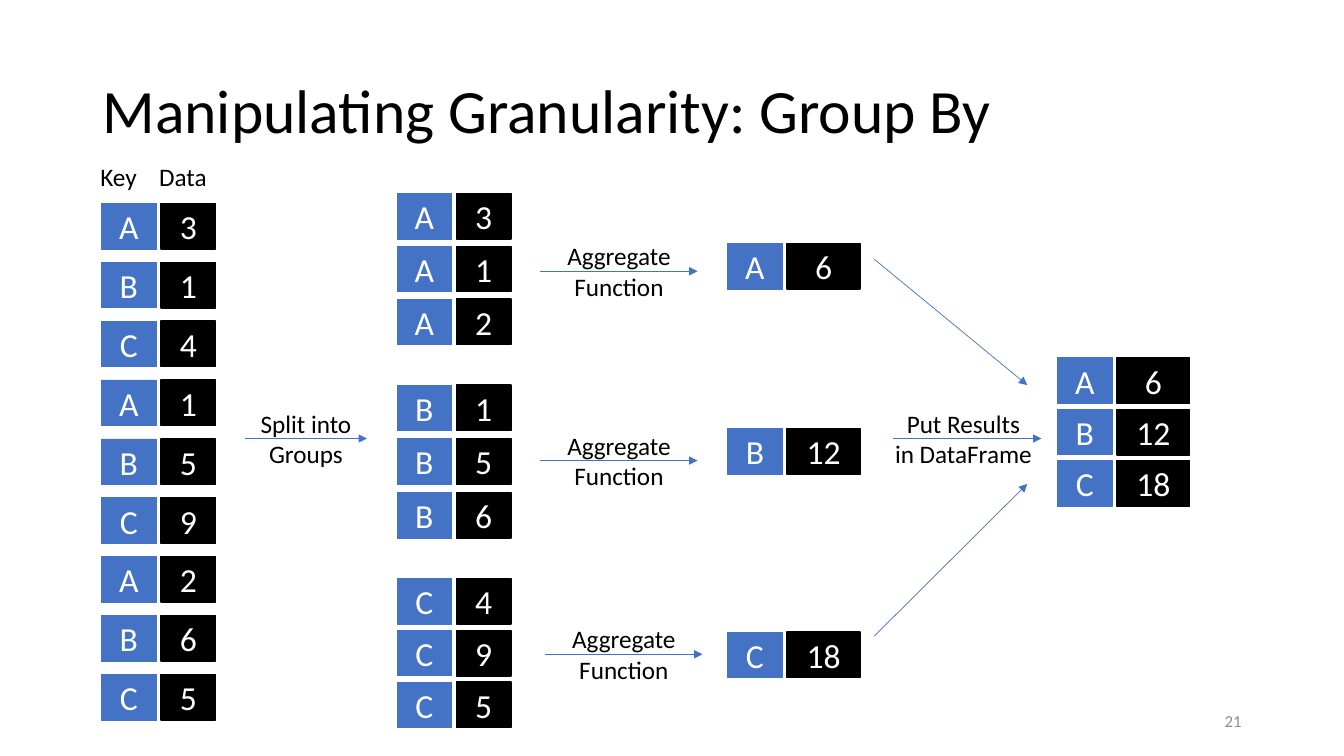
from lxml import etree
from pptx import Presentation
from pptx.dml.color import RGBColor
from pptx.enum.shapes import MSO_CONNECTOR, MSO_SHAPE
from pptx.enum.text import MSO_ANCHOR, MSO_AUTO_SIZE, PP_ALIGN
from pptx.oxml.ns import qn
from pptx.util import Pt

LEFT, CENTER, RIGHT = PP_ALIGN.LEFT, PP_ALIGN.CENTER, PP_ALIGN.RIGHT
TOP, MIDDLE = MSO_ANCHOR.TOP, MSO_ANCHOR.MIDDLE
GROW = MSO_AUTO_SIZE.SHAPE_TO_FIT_TEXT
NO_FIT = MSO_AUTO_SIZE.NONE
RECTANGLE, STRAIGHT = MSO_SHAPE.RECTANGLE, MSO_CONNECTOR.STRAIGHT

COLORS = {"key": "4472C4", "value": "000000", "text": "000000",
          "cell_text": "FFFFFF", "number": "8C8C8C"}
FONT = "Calibri"
KEY_WIDTH, CELL_HEIGHT, VALUE_OFFSET = 38.9, 32.6, 42.5
RESULT_WIDTH = 52

RECORDS = [("A", 3), ("B", 1), ("C", 4), ("A", 1), ("B", 5),
           ("C", 9), ("A", 2), ("B", 6), ("C", 5)]
GROUPS = [
    {"key": "A", "top": 138.1, "pitch": 37.8, "arrow": (386, 193.8), "result_top": 174},
    {"key": "B", "top": 275.1, "pitch": 38.3, "arrow": (386, 329), "result_top": 306.2},
    {"key": "C", "top": 413.1, "pitch": 37.1, "arrow": (389.5, 467.4), "result_top": 451.5},
]


def color(name):
    return RGBColor.from_string(COLORS[name])


def write_text(shape, lines, size, color_name, alignment, **frame_format):
    frame = shape.text_frame
    for name, value in frame_format.items():
        setattr(frame, name, value)
    frame.text = "\n".join(lines)
    for paragraph in frame.paragraphs:
        paragraph.alignment = alignment
        font = paragraph.font
        for name, value in {"name": FONT, "size": Pt(size)}.items():
            setattr(font, name, value)
        font.color.rgb = color(color_name)


def add_label(slide, box, lines, alignment=CENTER):
    label = slide.shapes.add_textbox(*map(Pt, box))
    write_text(label, lines, 18, "text", alignment,
               word_wrap=False, auto_size=GROW, vertical_anchor=TOP)


def add_arrow(slide, start, end):
    arrow = slide.shapes.add_connector(STRAIGHT, *map(Pt, start + end))
    arrow.line.color.rgb = color("key")
    arrow.line.width = Pt(0.5)
    line = arrow.line._get_or_add_ln()
    etree.SubElement(line, qn("a:tailEnd"), type="triangle")
    etree.SubElement(arrow._element.spPr, qn("a:effectLst"))


def add_labelled_arrow(slide, left, middle, width, lines):
    add_arrow(slide, (left, middle), (left + width, middle))
    add_label(slide, (left, middle - 25.4, width, 50.9), lines)


def add_pair(slide, left, top, key, value, value_width):
    pair = slide.shapes.add_group_shape()
    cells = [("key", left, KEY_WIDTH, key, 0.5),
             ("value", left + VALUE_OFFSET, value_width, value, 1)]
    for role, cell_left, width, text, line_width in cells:
        cell = pair.shapes.add_shape(
            RECTANGLE, *map(Pt, (cell_left, top, width, CELL_HEIGHT)))
        cell.shadow.inherit = False
        cell.fill.solid()
        cell.fill.fore_color.rgb = color(role)
        cell.line.color.rgb = color(role)
        cell.line.width = Pt(line_width)
        write_text(cell, [str(text)], 24, "cell_text", CENTER,
                   vertical_anchor=MIDDLE)


def add_stack(slide, left, top, pitch, pairs, value_width=KEY_WIDTH):
    for row, (key, value) in enumerate(pairs):
        add_pair(slide, left, top + row * pitch, key, value, value_width)


def add_title(slide, box):
    title = slide.shapes.title
    for name, value in zip(("left", "top", "width", "height"), box):
        setattr(title, name, Pt(value))
    write_text(title, ["Manipulating Granularity: Group By"], 44, "text", LEFT,
               word_wrap=True, auto_size=NO_FIT, vertical_anchor=MIDDLE)
    title.text_frame.paragraphs[0].line_spacing = 0.9


def add_source_table(slide, left, top):
    add_label(slide, (left - 8, top - 33.6, 46.8, 29), ["Key"], LEFT)
    add_label(slide, (left + 34, top - 33.6, 59, 29), ["Data"], LEFT)
    add_stack(slide, left, top, 42.05, RECORDS)


def add_groups(slide, left, result_left):
    results = []
    for group in GROUPS:
        key = group["key"]
        members = [record for record in RECORDS if record[0] == key]
        results.append((key, sum(value for _, value in members)))
        add_stack(slide, left, group["top"], group["pitch"], members)
        add_labelled_arrow(slide, *group["arrow"], 112.3, ["Aggregate", "Function"])
        add_stack(slide, result_left, group["result_top"], 0, results[-1:], RESULT_WIDTH)
    return results


def add_final_table(slide, left, top, results):
    add_stack(slide, left, top, 36.75, results, RESULT_WIDTH)
    arrow_left, arrow_right = left - 131, left - 21.6
    add_arrow(slide, (arrow_left, top - 70.5), (arrow_right, top + 19.5))
    add_arrow(slide, (left - 117.4, top + 57.6), (left - 11.5, top + 57.6))
    add_arrow(slide, (arrow_left, top + 198.9), (arrow_right, top + 90))
    add_label(slide, (left - 123.7, top + 32.6, 113, 50.9),
              ["Put Results", "in DataFrame"])


def add_slide_number(slide, box):
    number = slide.shapes.add_textbox(*map(Pt, box))
    write_text(number, ["21"], 12, "number", RIGHT,
               word_wrap=True, vertical_anchor=MIDDLE)


def main():
    presentation = Presentation()
    presentation.slide_width, presentation.slide_height = Pt(960), Pt(540)
    slide = presentation.slides.add_slide(presentation.slide_layouts[5])
    add_title(slide, (66, 28.75, 828, 104.4))
    add_source_table(slide, 72.6, 145.3)
    add_labelled_arrow(slide, 175, 313.2, 87.1, ["Split into", "Groups"])
    results = add_groups(slide, 283.6, 519.8)
    add_final_table(slide, 755.4, 255.6, results)
    add_slide_number(slide, (678, 500.5, 216, 28.75))
    presentation.save("out.pptx")


if __name__ == "__main__":
    main()
